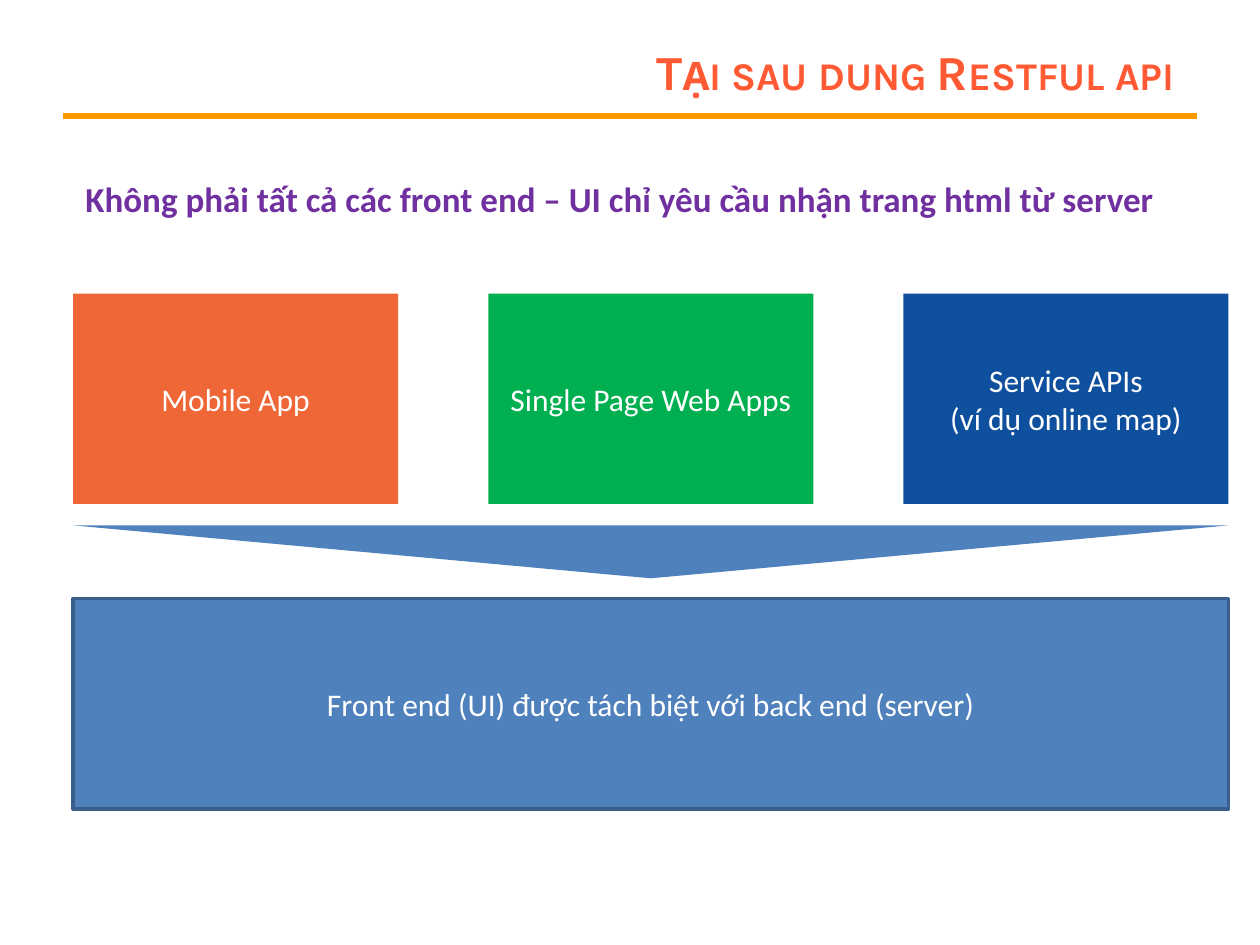
from pptx import Presentation
from pptx.dml.color import RGBColor
from pptx.enum.shapes import MSO_CONNECTOR, MSO_SHAPE
from pptx.enum.text import MSO_ANCHOR, MSO_AUTO_SIZE, PP_ALIGN
from pptx.oxml.ns import qn
from pptx.util import Inches, Pt
from lxml import etree

RECTANGLE, TRIANGLE = MSO_SHAPE.RECTANGLE, MSO_SHAPE.ISOSCELES_TRIANGLE
LEFT, CENTER, RIGHT = PP_ALIGN.LEFT, PP_ALIGN.CENTER, PP_ALIGN.RIGHT
TOP, MIDDLE = MSO_ANCHOR.TOP, MSO_ANCHOR.MIDDLE

COLORS = {
    "title": "FF5A33", "rule": "FF9900", "heading": "7030A0", "white": "FFFFFF",
    "orange": "F06737", "green": "00B050", "navy": "0E509D",
    "blue": "4F81BD", "outline": "3A5F8C",
}
DIAGRAM_LEFT, DIAGRAM_WIDTH = 0.58, 9.17
CARD_TOP, CARD_WIDTH, BLOCK_HEIGHT = 2.33, 2.58, 1.67
CARDS = [
    ("Mobile App", "orange"),
    ("Single Page Web Apps", "green"),
    ("Service APIs\n(ví dụ online map)", "navy"),
]


def color(name):
    return RGBColor.from_string(COLORS[name])


def write_text(shape, text, size=18, font="Calibri", fill="white", bold=False,
               align=CENTER, anchor=MIDDLE, wrap=True, small_caps=False):
    frame = shape.text_frame
    frame.word_wrap = wrap
    frame.vertical_anchor = anchor
    frame.text = text
    for para in frame.paragraphs:
        para.alignment = align
        for span in para.runs:
            span.font.size = Pt(size)
            span.font.name = font
            span.font.bold = bold
            span.font.color.rgb = color(fill)
            if small_caps:
                span.font._element.set("cap", "small")


def add_title(page, text):
    title = page.shapes.title
    title.left, title.top = Inches(2.25), Inches(0.3)
    title.width, title.height = Inches(7.25), Inches(0.53)
    write_text(title, text, size=28, font="Karla", fill="title", bold=True,
               align=RIGHT, small_caps=True)
    title.text_frame.auto_size = MSO_AUTO_SIZE.NONE


def add_rule(page, left, right, y):
    rule = page.shapes.add_connector(MSO_CONNECTOR.STRAIGHT, Inches(left), Inches(y),
                                     Inches(right), Inches(y))
    rule.line.color.rgb = color("rule")
    rule.line.width = Pt(3)
    etree.SubElement(rule._element.spPr, qn("a:effectLst"))


def add_heading(page, text):
    box = page.shapes.add_textbox(Inches(DIAGRAM_LEFT), Inches(1.36), Inches(8.75), Inches(0.44))
    write_text(box, text, size=20, fill="heading", bold=True, align=LEFT,
               anchor=TOP, wrap=False)
    box.text_frame.auto_size = MSO_AUTO_SIZE.SHAPE_TO_FIT_TEXT


def add_block(page, left, top, width, height, fill, text="", outline=None, kind=RECTANGLE):
    block = page.shapes.add_shape(kind, Inches(left), Inches(top), Inches(width), Inches(height))
    block.shadow.inherit = False
    block.fill.solid()
    block.fill.fore_color.rgb = color(fill)
    if outline:
        block.line.color.rgb = color(outline)
        block.line.width = Pt(2)
    else:
        block.line.fill.background()
    if text:
        write_text(block, text)
    return block


def add_cards(page):
    pitch = (DIAGRAM_WIDTH - CARD_WIDTH) / (len(CARDS) - 1)
    for index, (text, fill) in enumerate(CARDS):
        add_block(page, DIAGRAM_LEFT + index * pitch, CARD_TOP, CARD_WIDTH, BLOCK_HEIGHT,
                  fill, text)


def main():
    deck = Presentation()
    deck.slide_width, deck.slide_height = Inches(10), Inches(7.5)
    page = deck.slides.add_slide(deck.slide_layouts[5])

    add_rule(page, 0.5, 9.5, 0.92)
    add_title(page, "Tại sau dung Restful api ")
    add_heading(page, "Không phải tất cả các front end – UI chỉ yêu cầu nhận trang html từ server")
    add_cards(page)
    pointer = add_block(page, DIAGRAM_LEFT, 4.17, DIAGRAM_WIDTH, 0.42, "blue", kind=TRIANGLE)
    pointer._element.spPr.xfrm.set("flipV", "1")
    add_block(page, DIAGRAM_LEFT, 4.75, DIAGRAM_WIDTH, BLOCK_HEIGHT, "blue",
              "Front end (UI) được tách biệt với back end (server)", outline="outline")

    deck.save("out.pptx")


if __name__ == "__main__":
    main()
